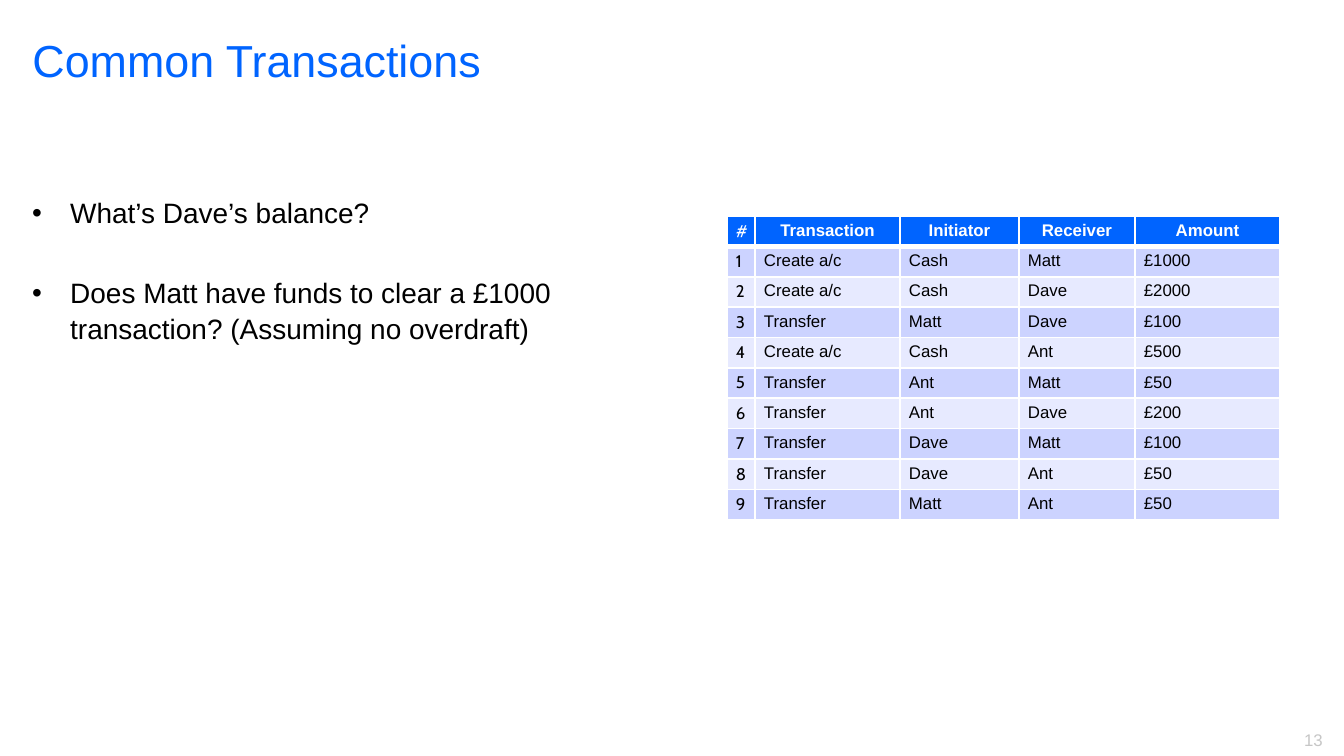
from lxml.etree import SubElement
from pptx import Presentation
from pptx.dml.color import RGBColor
from pptx.enum.text import MSO_ANCHOR as Anchor, MSO_AUTO_SIZE as AutoSize, PP_ALIGN as Align
from pptx.oxml.ns import qn
from pptx.util import Pt

PX = 914400 / 134.4
COLORS = {
    "accent": "0064FF", "text": "000000", "white": "FFFFFF",
    "number": "C6C6C6", "odd": "CCD3FF", "even": "E7EAFF",
}
TITLE = "Common Transactions"
PAGE_NUMBER = "13"
QUESTIONS = [
    "What’s Dave’s balance?",
    "Does Matt have funds to clear a £1000 transaction? (Assuming no overdraft)",
]
HEADERS = ["#", "Transaction", "Initiator", "Receiver", "Amount"]
TRANSACTIONS = [
    ("Create a/c", "Cash", "Matt", "£1000"),
    ("Create a/c", "Cash", "Dave", "£2000"),
    ("Transfer", "Matt", "Dave", "£100"),
    ("Create a/c", "Cash", "Ant", "£500"),
    ("Transfer", "Ant", "Matt", "£50"),
    ("Transfer", "Ant", "Dave", "£200"),
    ("Transfer", "Dave", "Matt", "£100"),
    ("Transfer", "Dave", "Ant", "£50"),
    ("Transfer", "Matt", "Ant", "£50"),
]
COLUMN_WIDTHS = [28, 145, 119, 116, 145]
TABLE_LEFT, TABLE_TOP, TABLE_HEIGHT = 727, 216, 304
BULLET_INDENT = 38


def px(length):
    return round(length * PX)


def write(paragraph, text, size=9, font="Arial", color="text", bold=False,
          align=Align.LEFT, line_spacing=None, space_before=0):
    paragraph.alignment = align
    paragraph.space_before = Pt(space_before)
    if line_spacing:
        paragraph.line_spacing = line_spacing
    run = paragraph.add_run()
    run.text = text
    run.font.size = Pt(size)
    run.font.name = font
    run.font.bold = bold
    run.font.color.rgb = RGBColor.from_string(COLORS[color])


def place(shape, left, top, width, height):
    """Position a text shape and return its wrapped, top-anchored frame."""
    shape.left, shape.top, shape.width, shape.height = map(px, (left, top, width, height))
    frame = shape.text_frame
    frame.word_wrap = True
    frame.auto_size = AutoSize.NONE
    frame.vertical_anchor = Anchor.TOP
    return frame


def add_bullet(paragraph):
    properties = paragraph._p.get_or_add_pPr()
    properties.set("marL", str(px(BULLET_INDENT)))
    properties.set("indent", str(-px(BULLET_INDENT)))
    SubElement(properties, qn("a:buFont"), typeface="Arial")
    SubElement(properties, qn("a:buChar"), char="•")


def add_borders(cell, top, bottom):
    """Draw white lines round a cell; top and bottom are widths in points."""
    properties = cell._tc.get_or_add_tcPr()
    for side, width in (("L", 1), ("R", 1), ("T", top), ("B", bottom)):
        line = SubElement(properties, qn(f"a:ln{side}"), w=str(Pt(width)))
        fill = SubElement(line, qn("a:solidFill"))
        SubElement(fill, qn("a:srgbClr"), val=COLORS["white"])


def add_transaction_table(slide):
    rows = [HEADERS] + [(str(n), *entry) for n, entry in enumerate(TRANSACTIONS, 1)]
    table = slide.shapes.add_table(
        len(rows), len(HEADERS), px(TABLE_LEFT), px(TABLE_TOP),
        px(sum(COLUMN_WIDTHS)), px(TABLE_HEIGHT)).table
    for column, width in zip(table.columns, COLUMN_WIDTHS):
        column.width = px(width)
    for row_index, row in enumerate(rows):
        table.rows[row_index].height = px(TABLE_HEIGHT / len(rows))
        header = row_index == 0
        fill = "accent" if header else "odd" if row_index % 2 else "even"
        for column_index, text in enumerate(row):
            cell = table.cell(row_index, column_index)
            cell.margin_left = cell.margin_right = px(9)
            cell.margin_top = cell.margin_bottom = px(5)
            cell.vertical_anchor = Anchor.MIDDLE if header else Anchor.TOP
            add_borders(cell, top=3 if row_index == 1 else 1, bottom=3 if header else 1)
            cell.fill.solid()
            cell.fill.fore_color.rgb = RGBColor.from_string(COLORS[fill])
            write(cell.text_frame.paragraphs[0], text,
                  font="Arial" if column_index else "Cabin",
                  color="white" if header else "text",
                  bold=header and column_index > 0,
                  align=Align.CENTER if header else Align.LEFT)


def main():
    presentation = Presentation()
    presentation.slide_width, presentation.slide_height = px(1344), px(756)
    slide = presentation.slides.add_slide(presentation.slide_layouts[5])

    title = place(slide.shapes.title, 19, 22, 1142, 149)
    write(title.paragraphs[0], TITLE, size=24, color="accent", line_spacing=1.07)

    questions = place(slide.shapes.add_textbox(0, 0, 0, 0), 19, 187, 644, 435)
    for index, question in enumerate(QUESTIONS):
        paragraph = questions.add_paragraph() if index else questions.paragraphs[0]
        write(paragraph, question, size=15, line_spacing=1.07,
              space_before=23.5 if index else 0)
        add_bullet(paragraph)

    add_transaction_table(slide)

    number = place(slide.shapes.add_textbox(0, 0, 0, 0), 1258, 723, 78, 33)
    write(number.paragraphs[0], PAGE_NUMBER, color="number", align=Align.RIGHT)

    presentation.save("out.pptx")


if __name__ == "__main__":
    main()
